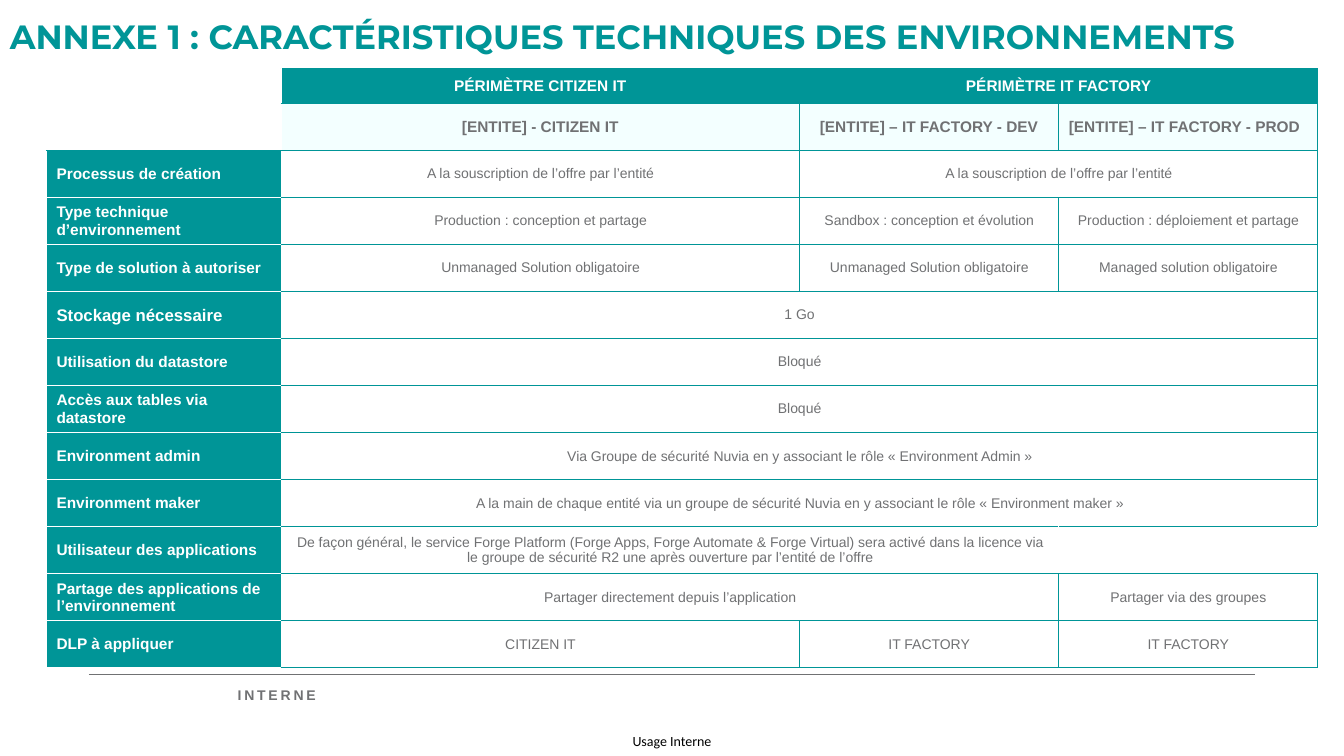
"""Build the annex slide comparing the technical features of the environments."""
import lxml.etree
import pptx
import pptx.dml.color
import pptx.enum.shapes
import pptx.enum.text
import pptx.oxml.ns
import pptx.util

Cm, Pt = pptx.util.Cm, pptx.util.Pt
RGB = pptx.dml.color.RGBColor.from_string
ALIGN = pptx.enum.text.PP_ALIGN
ANCHOR = pptx.enum.text.MSO_ANCHOR
qn = pptx.oxml.ns.qn

THEME = {
    "teal": "009597", "pale": "F3FFFF", "grey": "707173", "white": "FFFFFF", "black": "000000",
    "text": {
        "title": ("teal", {"name": "Montserrat", "size": Pt(24), "bold": True}),
        "perimeter": ("white", {"name": "Arial", "size": Pt(11), "bold": True}),
        "entity": ("grey", {"name": "Arial", "size": Pt(11), "bold": True}),
        "label": ("white", {"name": "Arial", "size": Pt(11), "bold": True}),
        "storage": ("white", {"name": "Arial", "size": Pt(12), "bold": True}),
        "value": ("grey", {"name": "Arial", "size": Pt(10), "bold": False}),
        "internal": ("grey", {"name": "Arial", "size": Pt(10), "bold": True}),
        "usage": ("black", {"name": "Calibri", "size": Pt(10), "bold": False}),
    },
}


def write(frame, text, role, align=ALIGN.LEFT):
    """Write one styled paragraph and return it."""
    paragraph = frame.paragraphs[0]
    paragraph.alignment = align
    colour, formats = THEME["text"][role]
    if text:
        run = paragraph.add_run()
        run.text = text
        run.font.color.rgb = RGB(THEME[colour])
        for attribute, value in formats.items():
            setattr(run.font, attribute, value)
    else:
        paragraph._p.get_or_add_endParaRPr().set("sz", str(int(formats["size"].pt * 100)))
    return paragraph


def draw_borders(cell, borders):
    """Draw the given sides of a cell, as colour and width in points."""
    properties = cell._tc.get_or_add_tcPr()
    for side in "LRTB":
        if side in borders:
            colour, width = borders[side]
            line = lxml.etree.SubElement(properties, qn(f"a:ln{side}"), w=str(Pt(width)))
            fill = lxml.etree.SubElement(line, qn("a:solidFill"))
            lxml.etree.SubElement(fill, qn("a:srgbClr"), val=THEME[colour])


deck = pptx.Presentation()
deck.slide_width, deck.slide_height = Cm(33.87), Cm(19.05)
slide = deck.slides.add_slide(deck.slide_layouts[6])

footer_rule = slide.shapes.add_connector(
    pptx.enum.shapes.MSO_CONNECTOR.STRAIGHT, Cm(2.24), Cm(16.99), Cm(31.62), Cm(16.99))
footer_rule.line.color.rgb = RGB(THEME["grey"])
footer_rule.line.width = Pt(0.5)
lxml.etree.SubElement(footer_rule._element.spPr, qn("a:effectLst"))

captions = [
    ("INTERNE", "internal", (5.74, 17.15, 11.99, 0.71), ALIGN.LEFT, ANCHOR.MIDDLE, {}),
    ("Usage Interne", "usage", (15.54, 18.31, 2.79, 0.74), ALIGN.CENTER, ANCHOR.MIDDLE,
     dict.fromkeys(("margin_left", "margin_top", "margin_right", "margin_bottom"), 0)),
    ("ANNEXE 1 : CARACTÉRISTIQUES TECHNIQUES DES ENVIRONNEMENTS", "title",
     (0, 0.43, 36.12, 1.45), ALIGN.LEFT, ANCHOR.TOP, {}),
]
for text, role, box, align, anchor, margins in captions:
    frame = slide.shapes.add_textbox(*map(Cm, box)).text_frame
    for attribute, value in {"word_wrap": True, "vertical_anchor": anchor, **margins}.items():
        setattr(frame, attribute, value)
    caption = write(frame, text, role, align)
    if role == "internal":
        caption.runs[0].font._element.set("spc", "200")
    if role == "title":
        caption.line_spacing = 0.85

features = [
    ("", "PÉRIMÈTRE CITIZEN IT", "PÉRIMÈTRE IT FACTORY", None),
    ("", "[ENTITE] - CITIZEN IT", "[ENTITE] – IT FACTORY - DEV", "[ENTITE] – IT FACTORY - PROD"),
    ("Processus de création", "A la souscription de l’offre par l’entité",
     "A la souscription de l’offre par l’entité", None),
    ("Type technique d’environnement", "Production : conception et partage",
     "Sandbox : conception et évolution", "Production : déploiement et partage"),
    ("Type de solution à autoriser", "Unmanaged Solution obligatoire",
     "Unmanaged Solution obligatoire", "Managed solution obligatoire"),
    ("Stockage nécessaire", "1 Go", None, None),
    ("Utilisation du datastore", "Bloqué", None, None),
    ("Accès aux tables via datastore", "Bloqué", None, None),
    ("Environment admin",
     "Via Groupe de sécurité Nuvia en y associant le rôle « Environment Admin »", None, None),
    ("Environment maker",
     "A la main de chaque entité via un groupe de sécurité Nuvia en y associant le rôle "
     "« Environment maker »", None, None),
    ("Utilisateur des applications",
     "De façon général, le service Forge Platform (Forge Apps, Forge Automate & Forge Virtual) "
     "sera activé dans la licence via le groupe de sécurité R2 une après ouverture par l’entité "
     "de l’offre", None, ""),
    ("Partage des applications de l’environnement", "Partager directement depuis l’application",
     None, "Partager via des groupes"),
    ("DLP à appliquer", "CITIZEN IT", "IT FACTORY", "IT FACTORY"),
]

table = slide.shapes.add_table(
    len(features), 4, Cm(1.17), Cm(1.73), Cm(32), Cm(15.09)).table
table.first_row = table.horz_banding = False
for column, width in zip(table.columns, (5.92, 13.06, 6.53, 6.53)):
    column.width = Cm(width)
for row in table.rows:
    row.height = Cm(14.21) // 12
table.rows[0].height = Cm(0.88)

white_side, white_line, teal_line = ("white", 1), ("white", 0.5), ("teal", 0.5)
for r, entries in enumerate(features):
    for c, text in enumerate(entries):
        cell = table.cell(r, c)
        cell.vertical_anchor = ANCHOR.MIDDLE
        borders = {"L": teal_line if c > 1 else white_side,
                   "R": teal_line, "T": teal_line, "B": teal_line}
        fill, role, align = "white", "value", ALIGN.CENTER
        if c == 0:
            fill, role, align = "teal", "label", ALIGN.LEFT
            borders = {"L": white_side, "R": white_side,
                       "T": teal_line if r == 2 else white_line, "B": white_line}
            if r < 2:
                fill = None
                borders = {"L": white_side, "R": white_side}
                if r == 1:
                    borders["B"] = teal_line
        elif r == 0:
            fill, role = "teal", "perimeter"
        elif r == 1:
            fill, role = "pale", "entity"
            align = ALIGN.LEFT if c == 3 else ALIGN.CENTER
        elif entries[0].startswith("Utilisateur"):
            borders.update(L=white_side, R=white_side)
        if text == "Stockage nécessaire":
            role = "storage"
        draw_borders(cell, borders)
        if fill:
            cell.fill.solid()
            cell.fill.fore_color.rgb = RGB(THEME[fill])
        else:
            cell.fill.background()
        write(cell.text_frame, text, role, align)
    for c in range(1, 4):
        last = c
        while last < 3 and entries[last + 1] is None:
            last += 1
        if entries[c] is not None and last > c:
            table.cell(r, c).merge(table.cell(r, last))

deck.save("out.pptx")
